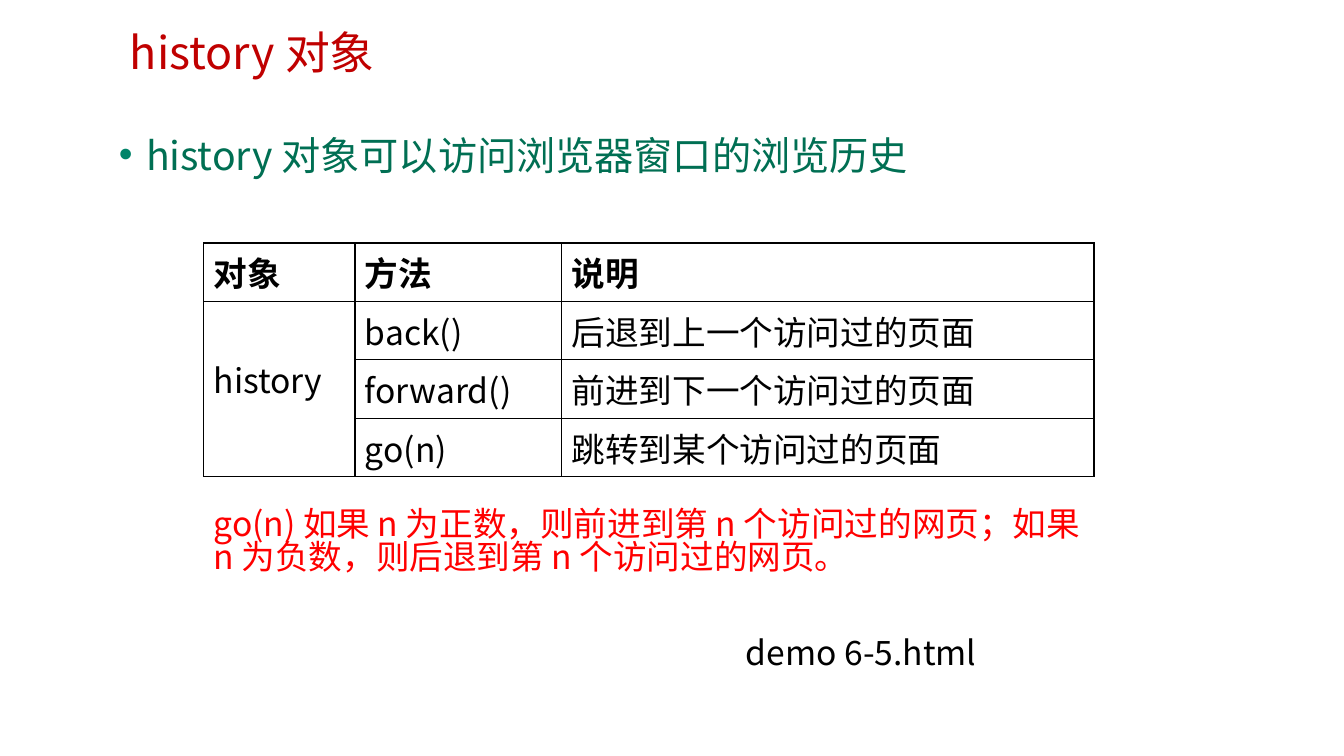
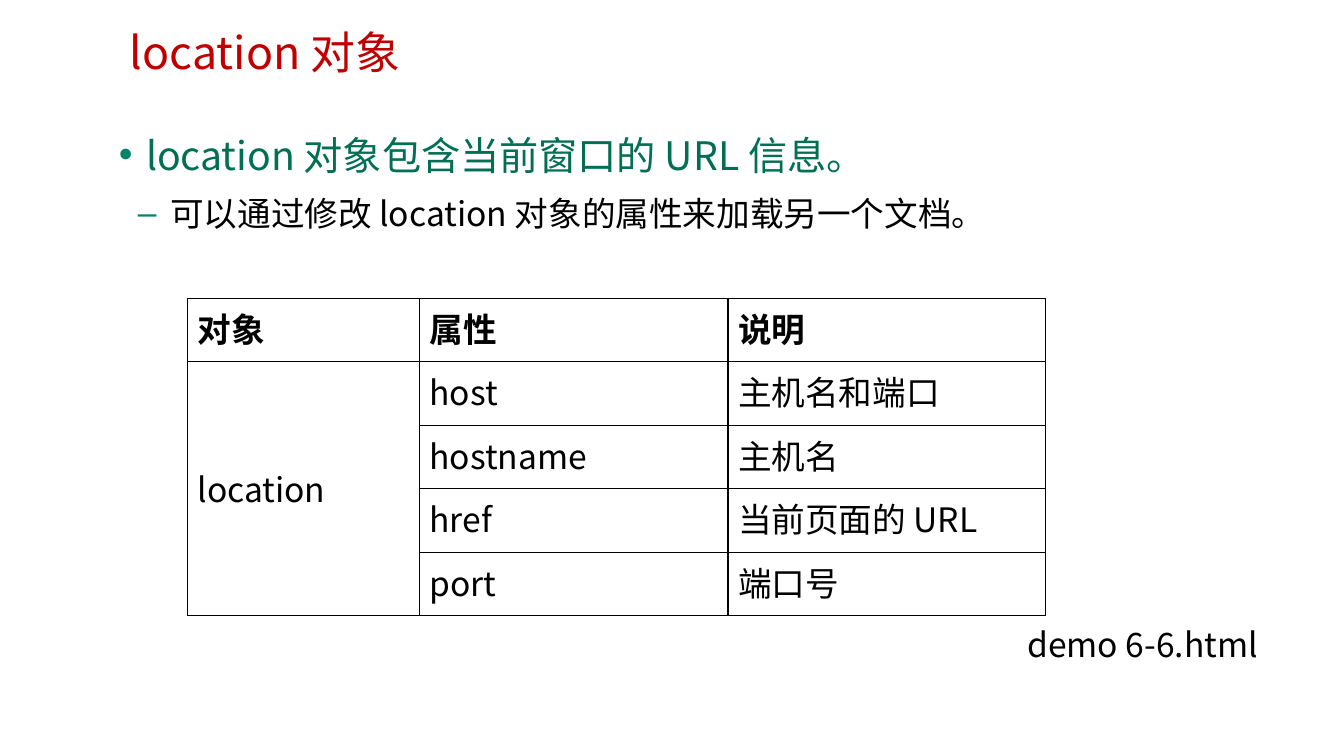
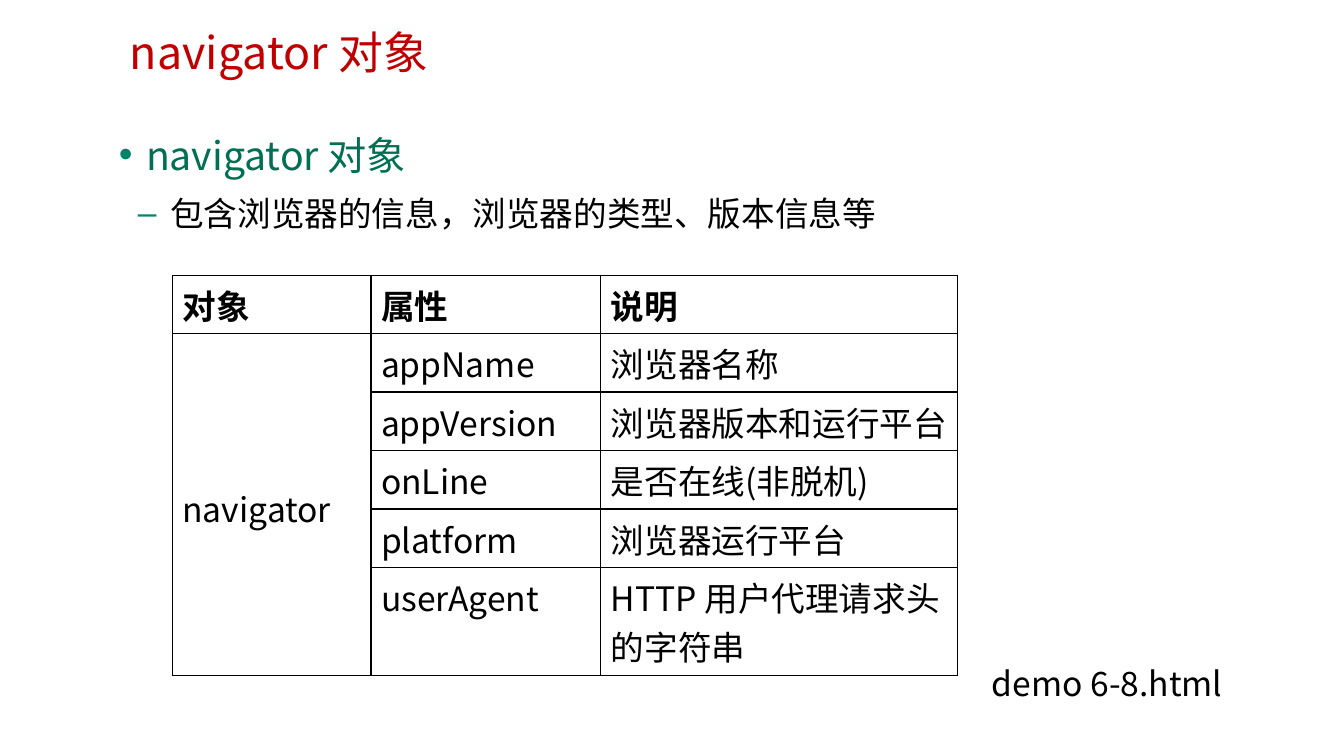
from lxml.etree import SubElement
from pptx import Presentation
from pptx.dml.color import RGBColor
from pptx.oxml.ns import qn
from pptx.util import Inches, Pt

FONT = "Noto Sans CJK SC"
RED, GREEN, BULLET, ALERT, BLACK = "C00000", "006F53", "008469", "FF0000", "000000"
TITLE_BOX = (1.19, 0.26, 8.96, 0.54)
BODY_BOX = (1.08, 1.11, 10.62, 5.08)
LINE = 0.48  # height of one line of table text
# bullet, left margin, hanging indent, size, colour for each outline level
LEVELS = [("•", 0.27, 0.27, 28, GREEN), ("–", 0.51, 0.32, 24, BLACK)]


def rgb(value):
    return RGBColor.from_string(value)


def add_run(p, text, size=24, color=BLACK, font=FONT, bold=False):
    r = p.add_run()
    r.text = text
    for name, value in {"size": Pt(size), "name": font, "bold": bold}.items():
        setattr(r.font, name, value)
    r.font.color.rgb = rgb(color)
    SubElement(r._r.get_or_add_rPr(), qn("a:ea"), typeface=FONT)


def add_box(s, box):
    tf = s.shapes.add_textbox(*map(Inches, box)).text_frame
    tf.word_wrap = True
    return tf


def add_text(s, box, text, size=24, color=BLACK, spacing=0.82):
    p = add_box(s, box).paragraphs[0]
    p.line_spacing = spacing
    add_run(p, text, size, color)


def add_outline(s, box, lines):
    """Bulleted lines, each one level deeper than the line before."""
    tf = add_box(s, box)
    for i, (text, level) in enumerate(zip(lines, LEVELS)):
        bullet, margin, hanging, size, color = level
        p = tf.add_paragraph() if i else tf.paragraphs[0]
        p.level, p.line_spacing, p.space_after = i, 1.3, Pt(2)
        pPr = p._p.get_or_add_pPr()
        pPr.set("marL", str(Inches(margin)))
        pPr.set("indent", str(-Inches(hanging)))
        SubElement(SubElement(pPr, qn("a:buClr")), qn("a:srgbClr"), val=BULLET)
        SubElement(pPr, qn("a:buFont"), typeface="Arial")
        SubElement(pPr, qn("a:buChar"), char=bullet)
        add_run(p, text, size, color)


def add_borders(cell):
    tcPr = cell._tc.get_or_add_tcPr()
    for i, side in enumerate(("lnL", "lnR", "lnT", "lnB")):
        ln = tcPr.makeelement(qn(f"a:{side}"), w=str(Pt(1)))
        SubElement(SubElement(ln, qn("a:solidFill")), qn("a:srgbClr"), val=BLACK)
        tcPr.insert(i, ln)


def add_member_table(s, left, top, widths, heights, kind, name, members,
                     lines_above, header_font):
    """Members of one object; the object's name spans all of their rows."""
    rows = [("对象", kind, "说明")] + [("", *member) for member in members]
    rows[1] = (name, *members[0])
    frame = s.shapes.add_table(len(rows), 3, Inches(left), Inches(top),
                               Inches(sum(widths)), Inches(sum(heights)))
    table = frame.table
    table.first_row = table.horz_banding = False
    for column, width in zip(table.columns, widths):
        column.width = Inches(width)
    for i, (row, height) in enumerate(zip(rows, heights)):
        table.rows[i].height = Inches(height)
        for j, text in enumerate(row):
            cell = table.cell(i, j)
            cell.fill.background()
            add_borders(cell)
            if text:
                add_run(cell.text_frame.paragraphs[0], text, bold=i == 0,
                        font=FONT if i else header_font)
    name_cell = table.cell(1, 0)
    name_cell.merge(table.cell(len(members), 0))
    name_cell.margin_top = Inches(0.05 + LINE * lines_above)


def add_object_slide(prs, name, outline, table, demo, demo_box):
    s = prs.slides.add_slide(prs.slide_layouts[6])
    add_outline(s, BODY_BOX, outline)
    add_text(s, TITLE_BOX, f"{name} 对象", 32, RED, 0.9)
    add_member_table(s, name=name, **table)
    add_text(s, demo_box, demo, spacing=0.88)
    return s


def main():
    prs = Presentation()
    prs.slide_width, prs.slide_height = Inches(13.33), Inches(7.5)

    s = add_object_slide(
        prs, "history", ["history 对象可以访问浏览器窗口的浏览历史"],
        dict(left=2.02, top=2.41, widths=[1.5, 2.05, 5.28], heights=[0.58] * 4,
             kind="方法", lines_above=1, header_font=FONT,
             members=[("back()", "后退到上一个访问过的页面"),
                      ("forward()", "前进到下一个访问过的页面"),
                      ("go(n)", "跳转到某个访问过的页面")]),
        "demo 6-5.html", (7.3, 6.27, 3.86, 0.5))
    add_text(s, (2.02, 5.01, 8.82, 0.91),
             "go(n) 如果 n 为正数，则前进到第 n 个访问过的网页；"
             "如果 n 为负数，则后退到第 n 个访问过的网页。", color=ALERT)

    add_object_slide(
        prs, "location", ["location 对象包含当前窗口的 URL 信息。",
                          "可以通过修改 location 对象的属性来加载另一个文档。"],
        dict(left=1.86, top=2.96, widths=[2.3, 3.06, 3.15], heights=[0.63] * 5,
             kind="属性", lines_above=2, header_font="Arial",
             members=[("host", "主机名和端口"), ("hostname", "主机名"),
                      ("href", "当前页面的 URL"), ("port", "端口号")]),
        "demo 6-6.html", (10.09, 6.19, 2.95, 0.5))

    add_object_slide(
        prs, "navigator", ["navigator 对象",
                           "包含浏览器的信息，浏览器的类型、版本信息等"],
        dict(left=1.71, top=2.73, widths=[1.97, 2.28, 3.54],
             heights=[0.58] * 5 + [1.07],
             kind="属性", lines_above=3, header_font="Arial",
             members=[("appName", "浏览器名称"),
                      ("appVersion", "浏览器版本和运行平台"),
                      ("onLine", "是否在线(非脱机)"),
                      ("platform", "浏览器运行平台"),
                      ("userAgent", "HTTP 用户代理请求头的字符串")]),
        "demo 6-8.html", (9.74, 6.58, 2.99, 0.5))

    prs.save("out.pptx")


if __name__ == "__main__":
    main()
